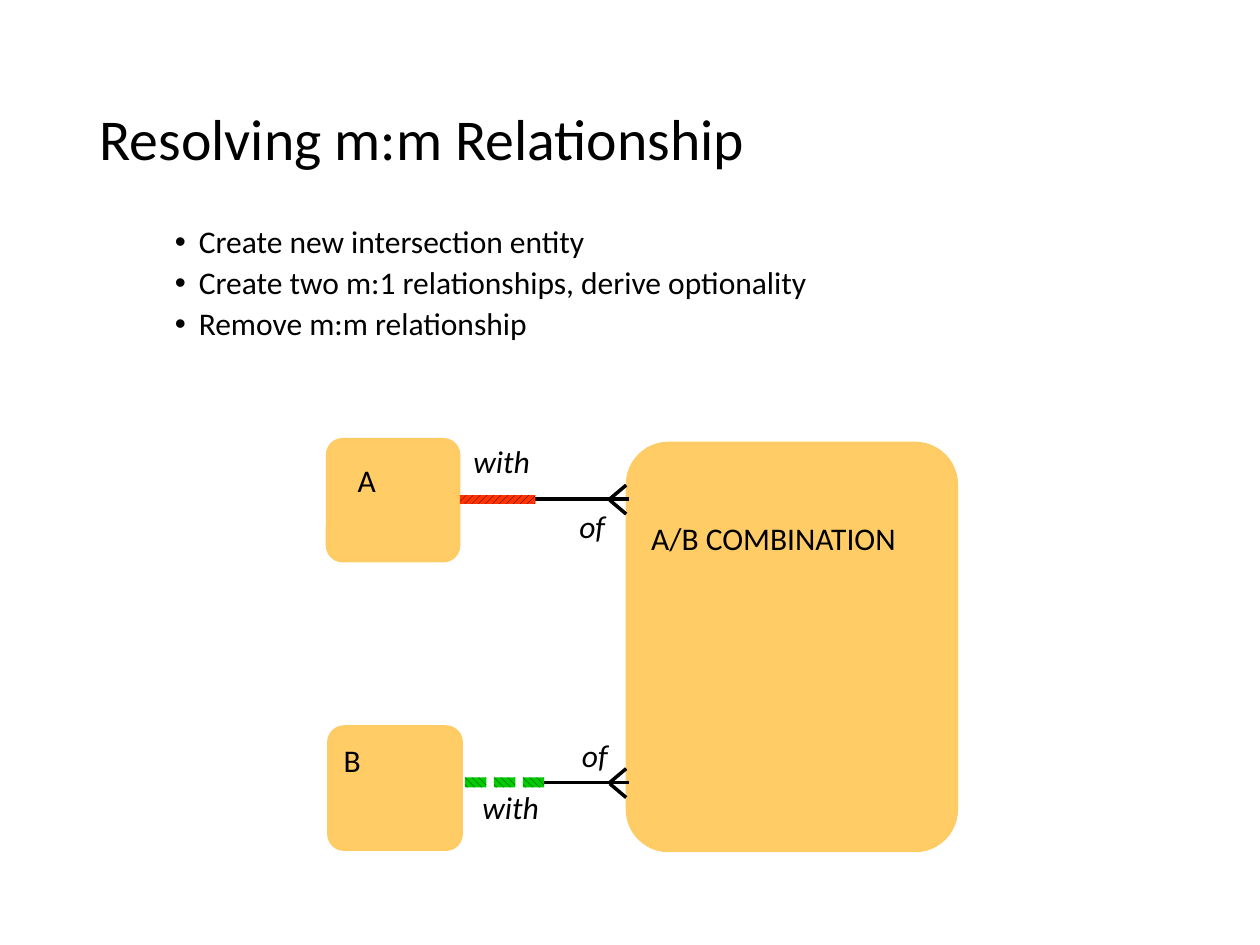
from lxml.etree import SubElement
from pptx import Presentation
from pptx.dml.color import RGBColor
from pptx.enum.dml import MSO_PATTERN
from pptx.enum.shapes import MSO_CONNECTOR, MSO_SHAPE
from pptx.enum.text import MSO_ANCHOR, PP_ALIGN
from pptx.oxml.ns import qn
from pptx.util import Inches, Pt

COLORS = {"text": "000000", "entity": "FFCC66", "edge": "FFCB65",
          "mandatory": "FF3300", "optional": "00CC00"}


def color(name):
    return RGBColor.from_string(COLORS[name])


def write(frame, lines, size=18, italic=False, line_spacing=None, gap=0,
          bullet=None, anchor=MSO_ANCHOR.TOP):
    frame.word_wrap = True
    frame.vertical_anchor = anchor
    for number, line in enumerate(lines.split("\n")):
        paragraph = frame.add_paragraph() if number else frame.paragraphs[0]
        paragraph.alignment = PP_ALIGN.LEFT
        if line_spacing:
            paragraph.line_spacing = line_spacing
        paragraph.space_before = Pt(gap if number else 0)
        if bullet:
            properties = paragraph._p.get_or_add_pPr()
            properties.set("marL", str(Inches(0.56)))
            properties.set("indent", str(Inches(-0.19)))
            SubElement(properties, qn("a:buFont"), typeface="Arial")
            SubElement(properties, qn("a:buChar"), char=bullet)
        run = paragraph.add_run()
        run.text = line
        run.font.name = "Calibri"
        run.font.size = Pt(size)
        run.font.italic = italic
        run.font.color.rgb = color("text")


presentation = Presentation()
presentation.slide_width = Inches(10)
presentation.slide_height = Inches(7.5)
slide = presentation.slides.add_slide(presentation.slide_layouts[5])
shapes = slide.shapes

# Title
title = shapes.title
title.left, title.top = Inches(0.69), Inches(0.4)
title.width, title.height = Inches(8.62), Inches(1.45)
write(title.text_frame, "Resolving m:m Relationship", size=33,
      line_spacing=0.9, anchor=MSO_ANCHOR.MIDDLE)

# Steps
steps = shapes.add_textbox(Inches(0.92), Inches(1.75), Inches(8.06), Inches(1.27))
write(steps.text_frame,
      "Create new intersection entity\n"
      "Create two m:1 relationships, derive optionality\n"
      "Remove m:m relationship",
      line_spacing=0.9, gap=3.8, bullet="•")

# Entities
for left, top, width, height in [(2.6, 3.49, 1.04, 0.96),
                                 (2.61, 5.77, 1.05, 0.97),
                                 (4.98, 3.52, 2.61, 3.23)]:
    entity = shapes.add_shape(MSO_SHAPE.ROUNDED_RECTANGLE, Inches(left),
                              Inches(top), Inches(width), Inches(height))
    entity.adjustments[0] = 0.125
    entity.shadow.inherit = False
    entity.fill.solid()
    entity.fill.fore_color.rgb = color("entity")
    entity.line.color.rgb = color("edge")
    entity.line.width = Pt(2)

# Entity names and relationship names
for words, left, top, width, height, italic in [
        ("A", 2.74, 3.61, 0.67, 0.4, False),
        ("B", 2.63, 5.83, 0.83, 0.4, False),
        ("A/B COMBINATION", 5.07, 4.07, 2.55, 0.4, False),
        ("with", 3.66, 3.49, 0.73, 0.37, True),
        ("of", 4.5, 4.01, 0.73, 0.37, True),
        ("of", 4.52, 5.83, 0.73, 0.37, True),
        ("with", 3.73, 6.24, 0.71, 0.37, True)]:
    label = shapes.add_textbox(Inches(left), Inches(top),
                               Inches(width), Inches(height))
    write(label.text_frame, words, italic=italic,
          line_spacing=0.9 if italic else None)

# Crow's feet on the "many" ends
for axis in (3.96, 6.21):
    for x1, y1, x2, y2 in [(4.97, 0.12, 4.84, 0.01), (4.97, -0.11, 4.84, 0),
                           (4.23, 0, 4.86, 0), (4.85, 0, 4.99, 0)]:
        stroke = shapes.add_connector(MSO_CONNECTOR.STRAIGHT,
                                      Inches(x1), Inches(axis + y1),
                                      Inches(x2), Inches(axis + y2))
        stroke.line.color.rgb = color("text")
        stroke.line.width = Pt(2)
        SubElement(stroke._element.spPr, qn("a:effectLst"))

# Solid bar is mandatory, dashes are optional
UP, DOWN = MSO_PATTERN.WIDE_UPWARD_DIAGONAL, MSO_PATTERN.WIDE_DOWNWARD_DIAGONAL
bars = [(3.65, 3.93, 0.6, 0.07, "mandatory", UP)]
bars += [(3.69 + 0.23 * i, 6.17, 0.17, 0.08, "optional", DOWN) for i in range(3)]
for left, top, width, height, kind, pattern in bars:
    bar = shapes.add_shape(MSO_SHAPE.RECTANGLE, Inches(left), Inches(top),
                           Inches(width), Inches(height))
    bar.shadow.inherit = False
    bar.line.fill.background()
    bar.fill.patterned()
    bar.fill.pattern = pattern
    bar.fill.fore_color.rgb = color("text")
    bar.fill.back_color.rgb = color(kind)

presentation.save("out.pptx")
